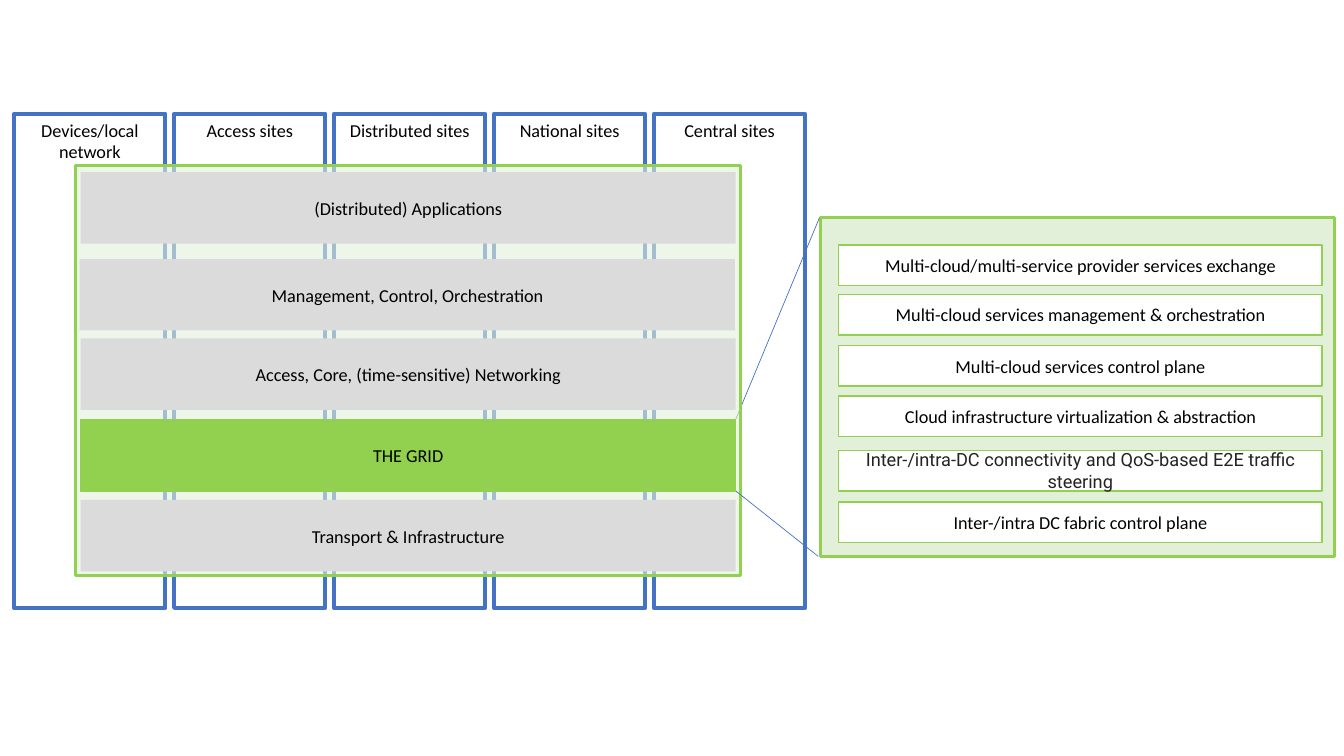
from lxml import etree
from pptx import Presentation
from pptx.dml.color import RGBColor
from pptx.enum import shapes, text
from pptx.oxml.ns import qn
from pptx.util import Cm, Pt

BLUE, GREEN, PALE, GREY = "4472C4", "92D050", "E2F0D9", "DBDBDB"
WHITE, BLACK, CHARCOAL = "FFFFFF", "000000", "242424"

SITES = ["Devices/local network", "Access sites", "Distributed sites",
         "National sites", "Central sites"]
LAYERS = [
    (2.03, 4.34, "(Distributed) Applications"),
    (2.01, 6.53, "Management, Control, Orchestration"),
    (2.03, 8.53, "Access, Core, (time-sensitive) Networking"),
    (2.03, 10.57, "THE GRID"),
    (2.03, 12.6, "Transport & Infrastructure"),
]
FUNCTIONS = [
    (6.17, "Multi-cloud/multi-service provider services exchange"),
    (7.42, "Multi-cloud services management & orchestration"),
    (8.71, "Multi-cloud services control plane"),
    (9.98, "Cloud infrastructure virtualization & abstraction"),
    (11.35, "Inter-/intra-DC connectivity and QoS-based E2E traffic steering"),
    (12.65, "Inter-/intra DC fabric control plane"),
]


def color(value):
    """Turn a hex string into a colour."""
    return RGBColor.from_string(value)


def add_box(page, left, top, width, height, fill=None, line=None, weight=1):
    """Add a flat rectangle, placed in centimetres."""
    box = page.shapes.add_shape(shapes.MSO_SHAPE.RECTANGLE,
                                Cm(left), Cm(top), Cm(width), Cm(height))
    box.shadow.inherit = False
    if fill:
        box.fill.solid()
        box.fill.fore_color.rgb = color(fill)
    else:
        box.fill.background()
    if line:
        box.line.color.rgb = color(line)
        box.line.width = Pt(weight)
    else:
        box.line.fill.background()
    return box


def add_label(box, label, anchor=text.MSO_ANCHOR.MIDDLE, font="Calibri", ink=BLACK):
    """Write a centred label in a box."""
    frame = box.text_frame
    frame.word_wrap = True
    frame.vertical_anchor = anchor
    frame.text = label
    para = frame.paragraphs[0]
    para.alignment = text.PP_ALIGN.CENTER
    span = para.runs[0]
    span.font.name = font
    span.font.size = Pt(13)
    span.font.color.rgb = color(ink)


def set_opacity(box, percent):
    """Make the solid fill of a box partly transparent."""
    fill = box.fill._xPr.find(qn("a:solidFill"))
    etree.SubElement(fill[0], qn("a:alpha")).set("val", str(percent * 1000))


def add_callout_line(page, start, end):
    """Draw a thin line between two points in centimetres."""
    line = page.shapes.add_connector(shapes.MSO_CONNECTOR.STRAIGHT,
                                     *map(Cm, start + end))
    line.line.color.rgb = color(BLUE)
    line.line.width = Pt(0.5)
    etree.SubElement(line._element.spPr, qn("a:effectLst"))


def add_sites(page):
    """Add the row of tall site columns."""
    for index, site in enumerate(SITES):
        column = add_box(page, 0.36 + 4.03 * index, 2.87, 3.81, 12.45,
                         WHITE, BLUE, 3)
        add_label(column, site, text.MSO_ANCHOR.TOP)


def add_frames(page):
    """Add the detail panel, the layer frame and the lines that link them."""
    add_box(page, 20.68, 5.49, 12.95, 8.53, PALE, GREEN, 2.25)
    add_callout_line(page, (18.54, 10.57), (20.65, 5.49))
    frame = add_box(page, 1.9, 4.17, 16.76, 10.34, PALE, GREEN, 2.25)
    set_opacity(frame, 60)
    add_callout_line(page, (18.54, 12.37), (20.62, 14.02))


def add_functions(page):
    """Add the functions listed in the detail panel."""
    for top, label in FUNCTIONS:
        box = add_box(page, 21.13, top, 12.19, 1.02, WHITE, GREEN)
        if label.startswith("Inter-/intra-DC"):
            add_label(box, label, font="Roboto", ink=CHARCOAL)
        else:
            add_label(box, label)


def add_layers(page):
    """Add the layers that span all sites, with the grid in green."""
    for left, top, label in LAYERS:
        fill, line = (GREEN, GREEN) if label == "THE GRID" else (GREY, None)
        add_label(add_box(page, left, top, 16.51, 1.8, fill, line), label)


def main():
    """Build the slide and save the deck."""
    deck = Presentation()
    deck.slide_width, deck.slide_height = Cm(33.87), Cm(19.05)
    page = deck.slides.add_slide(deck.slide_layouts[6])
    add_sites(page)
    add_frames(page)
    add_functions(page)
    add_layers(page)
    deck.save("out.pptx")


if __name__ == "__main__":
    main()
